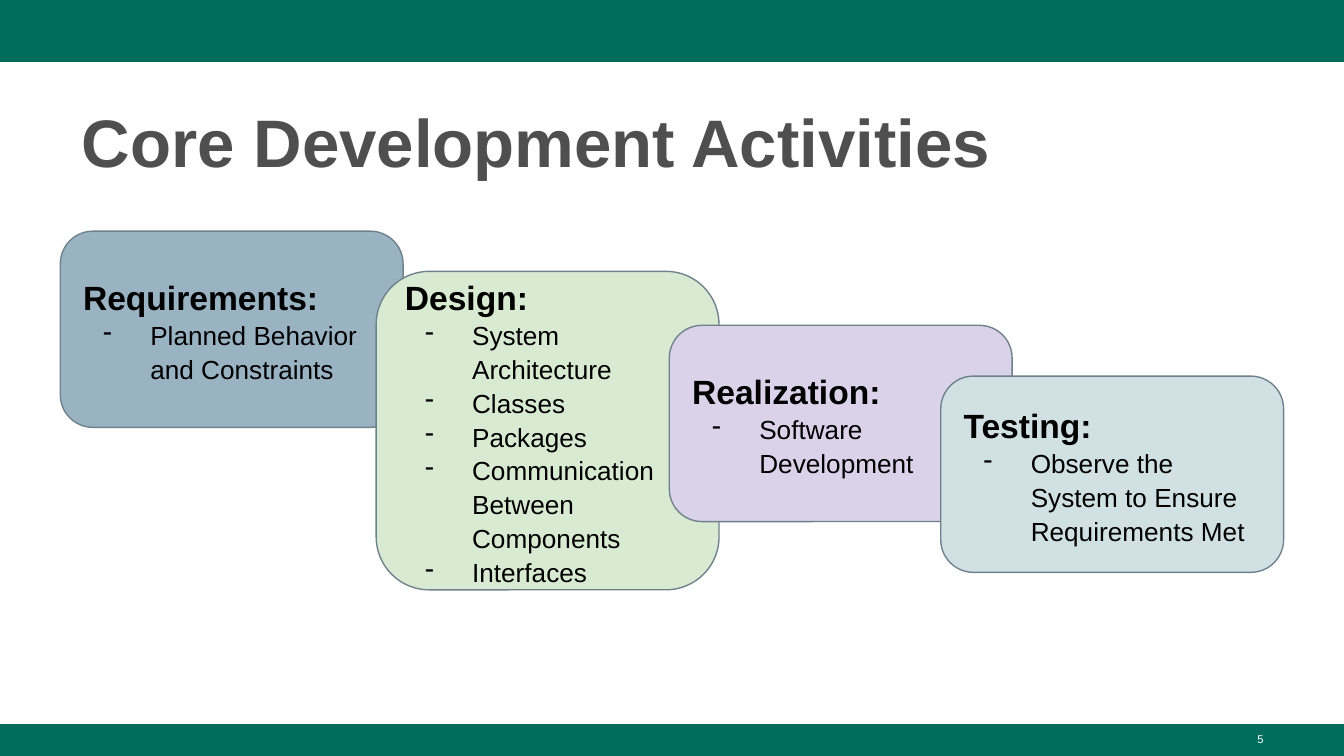
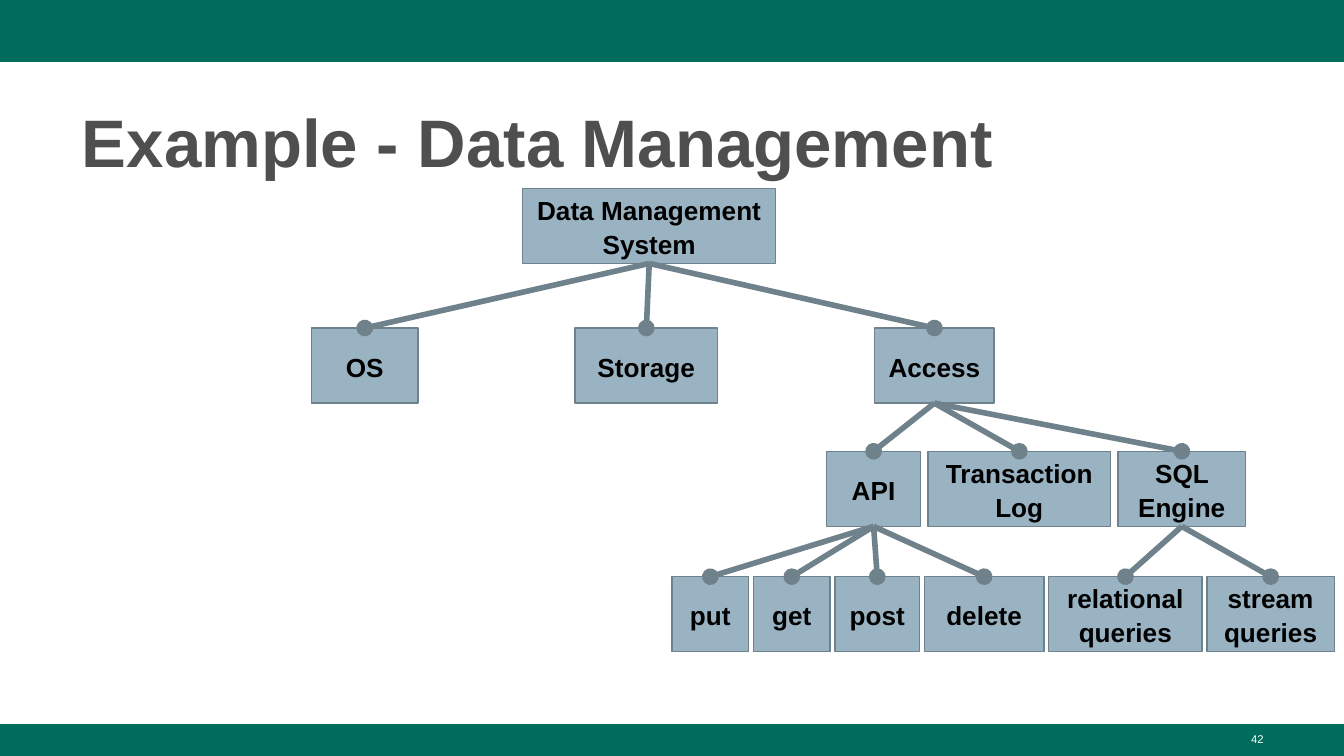
from lxml import etree
from pptx import Presentation
from pptx import util as u
from pptx.dml import color
from pptx.enum import shapes, text
from pptx.oxml import ns

GREEN, GREY, BLUE, EDGE = "006C5C", "4F4F4F", "99B3C2", "6F828C"
BLACK, WHITE = "000000", "FFFFFF"
WIDE, HIGH = 25.4, 14.29
LEFT, MID, RIGHT = text.PP_ALIGN.LEFT, text.PP_ALIGN.CENTER, text.PP_ALIGN.RIGHT
RECT, ROUND = shapes.MSO_SHAPE.RECTANGLE, shapes.MSO_SHAPE.ROUNDED_RECTANGLE

CARDS = [
    ("Requirements:", ["Planned Behavior and Constraints"], BLUE, (1.14, 4.37, 6.48, 3.71)),
    ("Design:", ["System Architecture", "Classes", "Packages",
                 "Communication Between Components", "Interfaces"],
     "D9EAD3", (7.11, 5.13, 6.48, 6.02)),
    ("Realization:", ["Software Development"], "D9D2E9", (12.65, 6.15, 6.48, 3.71)),
    ("Testing:", ["Observe the System to Ensure Requirements Met"],
     "D0E0E3", (17.78, 7.11, 6.48, 3.71)),
]

ROWS = [
    (9.88, 3.56, 0, [("Data Management System", 4.78, None)]),
    (5.89, 6.2, 2.97, [("OS", 2.01, "Data Management System"),
                       ("Storage", 2.69, "Data Management System"),
                       ("Access", 2.26, "Data Management System")]),
    (15.62, 8.53, 0.14, [("API", 1.78, "Access"),
                         ("Transaction Log", 3.45, "Access"),
                         ("SQL Engine", 2.41, "Access")]),
    (12.7, 10.9, 0.09, [("put", 1.45, "API"), ("get", 1.45, "API"),
                        ("post", 1.6, "API"), ("delete", 2.26, "API"),
                        ("relational queries", 2.9, "SQL Engine"),
                        ("stream queries", 2.41, "SQL Engine")]),
]


def rgb(code):
    return color.RGBColor.from_string(code)


def place(box):
    return [u.Cm(side) for side in box]


def add(tree, tag, **attrs):
    node = etree.SubElement(tree, ns.qn(tag))
    for key, val in attrs.items():
        node.set(key, val)
    return node


def dash(para):
    props = para._p.get_or_add_pPr()
    props.set("marL", str(u.Cm(1.27)))
    props.set("indent", str(-u.Cm(0.89)))
    add(add(props, "a:buClr"), "a:srgbClr", val=BLACK)
    add(props, "a:buChar", char="-")


def write(frame, words, size=14, tint=BLACK, bold=False, align=LEFT,
          space=1.08, bullet=False, fresh=True):
    para = frame.paragraphs[0] if fresh else frame.add_paragraph()
    if bullet:
        dash(para)
    para.alignment = align
    para.line_spacing = space
    run = para.add_run()
    run.text = words
    font = run.font
    font.name, font.size, font.bold = "Arial", u.Pt(size), bold
    font.color.rgb = rgb(tint)


def setup(frame, anchor, pad):
    frame.word_wrap = True
    frame.vertical_anchor = anchor
    frame.margin_left = frame.margin_right = u.Cm(0.25)
    frame.margin_top = frame.margin_bottom = u.Cm(pad)


def block(slide, kind, box, fill, edge=None):
    shape = slide.shapes.add_shape(kind, *place(box))
    shape.shadow.inherit = False
    shape.fill.solid()
    shape.fill.fore_color.rgb = rgb(fill)
    if edge:
        shape.line.color.rgb = rgb(edge)
        shape.line.width = u.Pt(0.75)
    else:
        shape.line.fill.background()
    setup(shape.text_frame, text.MSO_ANCHOR.MIDDLE, 0.25)
    return shape


def label(slide, box, words, anchor, **fmt):
    frame = slide.shapes.add_textbox(*place(box)).text_frame
    setup(frame, anchor, 0.13)
    write(frame, words, **fmt)


def base(deck, title, page):
    slide = deck.slides.add_slide(deck.slide_layouts[6])
    block(slide, RECT, (0, 0, WIDE, 1.17), GREEN)
    block(slide, RECT, (0, 13.69, WIDE, 0.6), GREEN)
    label(slide, (18.21, 13.72, 5.92, 0.57), page, text.MSO_ANCHOR.TOP,
          size=6, tint=WHITE, align=RIGHT, space=1)
    label(slide, (1.3, 1.7, 22.83, 1.85), title, text.MSO_ANCHOR.BOTTOM,
          size=36, tint=GREY, bold=True)
    return slide


def card(slide, head, items, fill, box):
    frame = block(slide, ROUND, box, fill, EDGE).text_frame
    write(frame, head, size=18, bold=True)
    for item in items:
        write(frame, item, bullet=True, fresh=False)


def link(slide, top, low):
    line = slide.shapes.add_connector(shapes.MSO_CONNECTOR.STRAIGHT, 0, 0, 0, 0)
    line.begin_connect(top, 2)
    line.end_connect(low, 0)
    line.line.color.rgb = rgb(EDGE)
    line.line.width = u.Pt(3)
    add(line.line._get_or_add_ln(), "a:tailEnd", type="oval")
    add(line._element.spPr, "a:effectLst")


def row(slide, left, top, gap, cells, nodes):
    for name, width, _ in cells:
        node = block(slide, RECT, (left, top, width, 1.42), BLUE, EDGE)
        write(node.text_frame, name, bold=True, align=MID)
        nodes[name] = node
        left += width + gap
    for name, _, boss in cells:
        if boss:
            link(slide, nodes[boss], nodes[name])


def main():
    deck = Presentation()
    deck.slide_width, deck.slide_height = u.Cm(WIDE), u.Cm(HIGH)
    slide = base(deck, "Core Development Activities", "5")
    for part in CARDS:
        card(slide, *part)
    slide = base(deck, "Example - Data Management", "42")
    nodes = {}
    for part in ROWS:
        row(slide, *part, nodes)
    deck.save("out.pptx")


if __name__ == "__main__":
    main()
